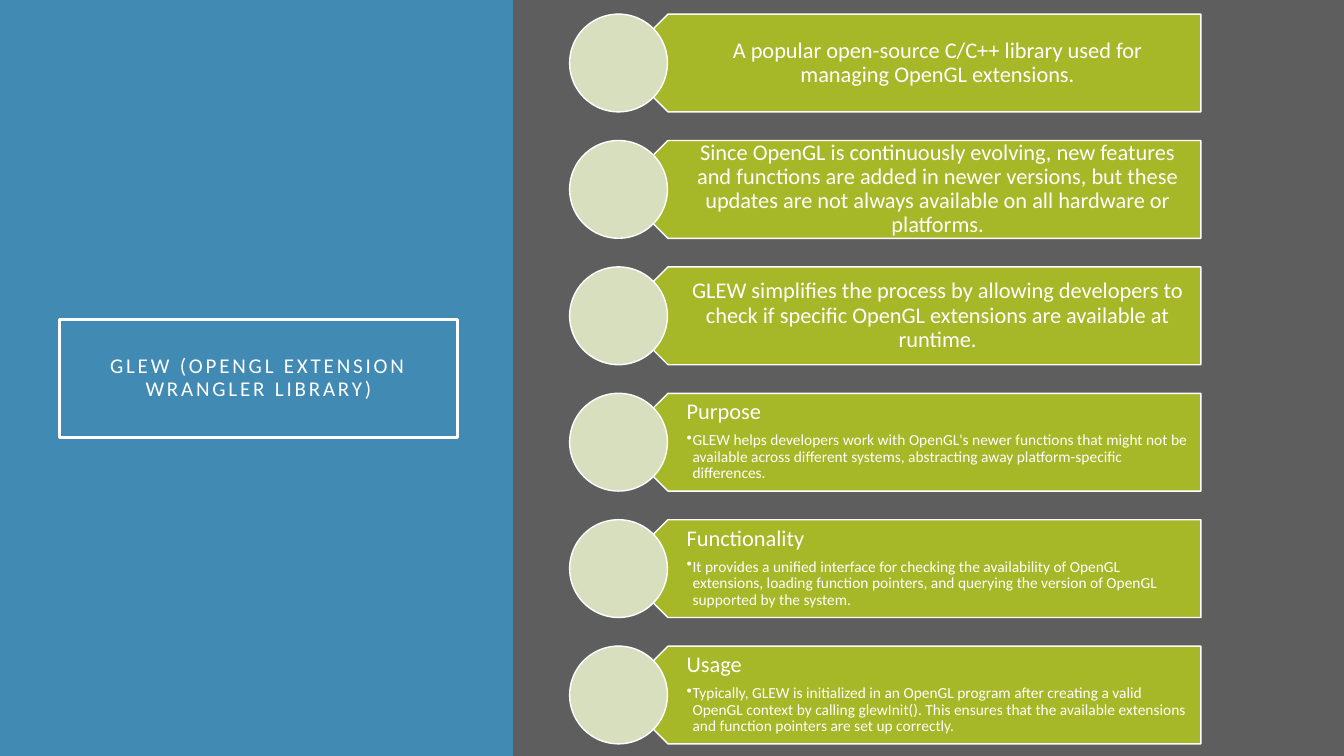
from pptx import Presentation, util as u
from pptx.dml.color import RGBColor
from pptx.enum import shapes, text
from pptx.oxml import parse_xml
from pptx.oxml.ns import nsdecls

TITLE = "GLEW (OPENGL EXTENSION WRANGLER LIBRARY)"
ROWS = [
    ("A popular open-source C/C++ library used for managing OpenGL extensions.", None),
    ("Since OpenGL is continuously evolving, new features and functions are added in newer versions, "
     "but these updates are not always available on all hardware or platforms.", None),
    ("GLEW simplifies the process by allowing developers to check if specific OpenGL extensions "
     "are available at runtime.", None),
    ("Purpose",
     "GLEW helps developers work with OpenGL's newer functions that might not be available across "
     "different systems, abstracting away platform-specific differences."),
    ("Functionality",
     "It provides a unified interface for checking the availability of OpenGL extensions, loading "
     "function pointers, and querying the version of OpenGL supported by the system."),
    ("Usage",
     "Typically, GLEW is initialized in an OpenGL program after creating a valid OpenGL context by "
     "calling glewInit(). This ensures that the available extensions and function pointers are set up correctly."),
]
WHITE, GREY, BLUE, GREEN, PALE = "FFFFFF", "5E5E5E", "418AB3", "A6B727", "D8DFBE"
WIDE, HIGH, SPLIT = 13.33, 7.5, 5.09
FIRST, LAST, SIZE = 0.14, 6.41, 0.97
STEP = (LAST - FIRST) / (len(ROWS) - 1)
KIND = shapes.MSO_SHAPE
ALIGN = text.PP_ALIGN


def color(part, code):
    part.solid()
    part.fore_color.rgb = RGBColor.from_string(code)


def draw(place, kind, box, fill=None, line=None, width=1):
    shape = place.add_shape(kind, *map(u.Inches, box))
    shape.shadow.inherit = False
    if fill:
        color(shape.fill, fill)
    else:
        shape.fill.background()
    if line:
        color(shape.line.fill, line)
        shape.line.width = u.Pt(width)
    else:
        shape.line.fill.background()
    return shape


def setup(frame, left, top, right, bottom, anchor):
    frame.word_wrap = True
    frame.vertical_anchor = anchor
    frame.margin_left, frame.margin_top = u.Inches(left), u.Inches(top)
    frame.margin_right, frame.margin_bottom = u.Inches(right), u.Inches(bottom)


def write(para, words, size=16, align=ALIGN.LEFT, after=0, track=0, bullet=False):
    para.alignment = align
    para.line_spacing = 0.9
    para.space_after = u.Pt(after)
    run = para.add_run()
    run.text = words
    run.font.name, run.font.size = "Calibri", u.Pt(size)
    color(run.font.fill, WHITE)
    if track:
        run.font._element.set("spc", str(track * 100))
    if bullet:
        para.level = 1
        props = para._p.get_or_add_pPr()
        props.set("marL", str(u.Inches(0.06)))
        props.set("indent", str(-u.Inches(0.06)))
        props.append(parse_xml(f'<a:buChar {nsdecls("a")} char="•"/>'))


def add_row(place, top, head, detail):
    plate = draw(place, KIND.PENTAGON, (6.14, top, 5.77, SIZE), GREEN, WHITE)
    plate.rotation = 180
    label = place.add_textbox(*map(u.Inches, (6.38, top, 5.53, SIZE)))
    frame = label.text_frame
    anchor = text.MSO_ANCHOR.TOP if detail else text.MSO_ANCHOR.MIDDLE
    setup(frame, 0.43, 0.07, 0.12, 0.07, anchor)
    if detail:
        write(frame.paragraphs[0], head, after=5.6)
        write(frame.add_paragraph(), detail, size=11, bullet=True)
    else:
        write(frame.paragraphs[0], head, align=ALIGN.CENTER)
    draw(place, KIND.OVAL, (5.65, top, SIZE, SIZE), PALE, WHITE)


def main():
    deck = Presentation()
    deck.slide_width, deck.slide_height = u.Inches(WIDE), u.Inches(HIGH)
    slide = deck.slides.add_slide(deck.slide_layouts[6])
    color(slide.background.fill, GREY)
    draw(slide.shapes, KIND.RECTANGLE, (0, 0, SPLIT, HIGH), BLUE)
    title = draw(slide.shapes, KIND.RECTANGLE, (0.59, 3.17, 3.95, 1.17), line=WHITE, width=2.5)
    setup(title.text_frame, 0.2, 0.2, 0.2, 0.2, text.MSO_ANCHOR.MIDDLE)
    write(title.text_frame.paragraphs[0], TITLE, size=15, align=ALIGN.CENTER, track=2)
    draw(slide.shapes, KIND.RECTANGLE, (SPLIT, 0, WIDE - SPLIT, HIGH), GREY)
    group = slide.shapes.add_group_shape()
    for i, (head, detail) in enumerate(ROWS):
        add_row(group.shapes, FIRST + i * STEP, head, detail)
    deck.save("out.pptx")


if __name__ == "__main__":
    main()
